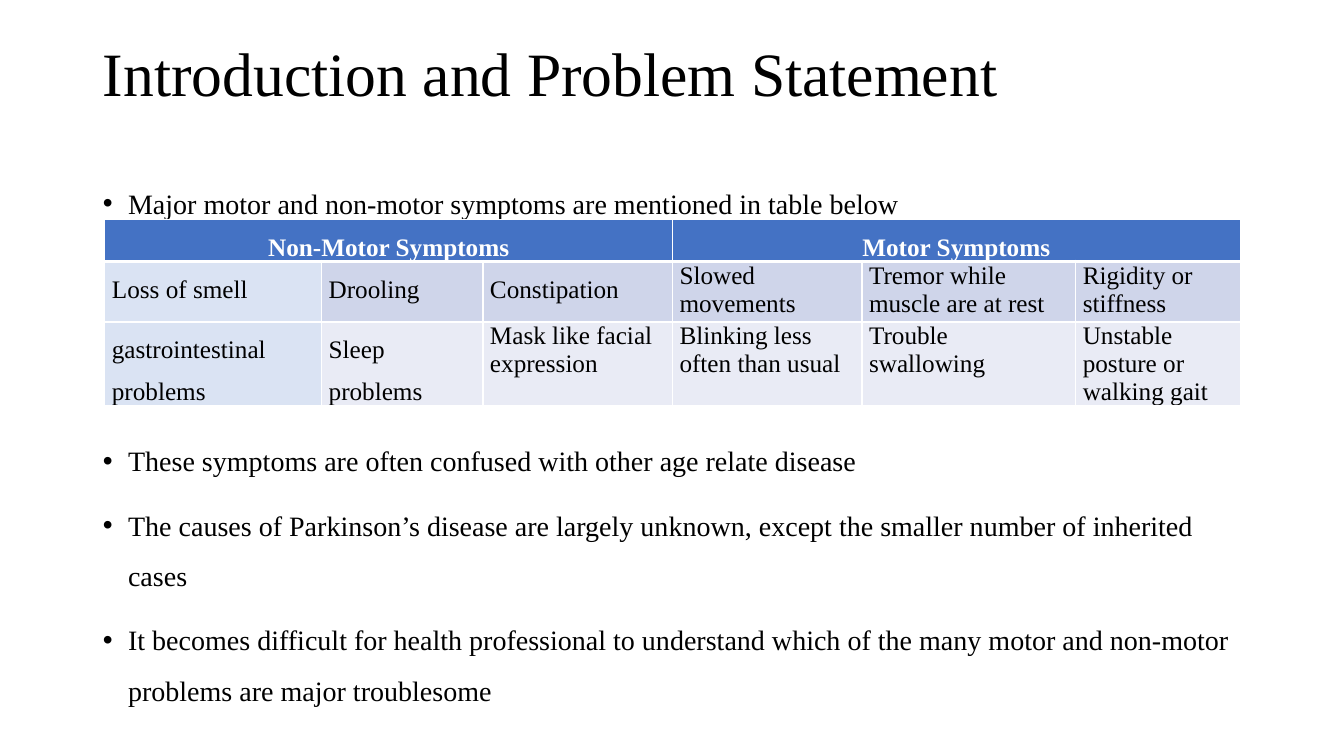
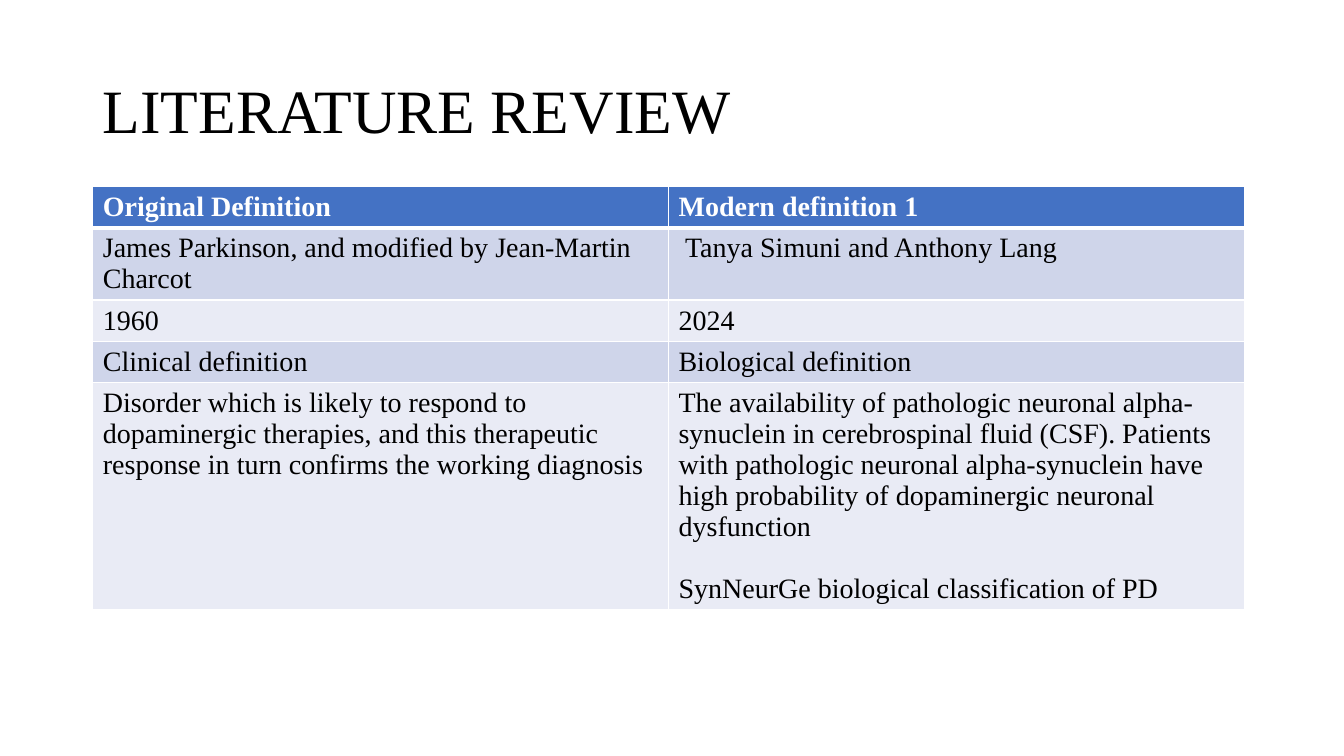
from dataclasses import dataclass

from lxml import etree
from pptx import Presentation
from pptx.dml.color import RGBColor
from pptx.enum.text import MSO_ANCHOR, MSO_AUTO_SIZE, PP_ALIGN
from pptx.oxml.ns import qn
from pptx.slide import Slide
from pptx.util import Inches, Pt

LEFT, CENTER = PP_ALIGN.LEFT, PP_ALIGN.CENTER
MIDDLE, TOP = MSO_ANCHOR.MIDDLE, MSO_ANCHOR.TOP
NO_FIT = MSO_AUTO_SIZE.NONE
TITLE_ONLY, TITLE_AND_BODY = 5, 1


@dataclass(frozen=True)
class Theme:
    """Colours, font and type sizes shared by the slides."""

    font: str = "Times New Roman"
    ink: str = "000000"
    paper: str = "FFFFFF"
    header: str = "4472C4"
    odd_row: str = "CFD5EA"
    even_row: str = "E9EBF5"
    key_column: str = "DAE3F3"
    title_size: int = 44
    text_size: int = 20
    small_size: int = 18


THEME = Theme()


@dataclass(frozen=True)
class Entry:
    """One table cell: its paragraphs, the columns it spans and its look."""

    paragraphs: tuple[str, ...]
    span: int = 1
    line_spacing: float = 1.0
    fill: str = ""


@dataclass(frozen=True)
class Grid:
    """A table: its place, column widths, row heights and entries."""

    left: float
    top: float
    columns: tuple[float, ...]
    rows: tuple[float, ...]
    entries: tuple[tuple[Entry, ...], ...]
    size: int = THEME.text_size
    header_align: PP_ALIGN = LEFT
    side_inset: float = 0.1
    end_inset: float = 0.05
    paragraph_gap: float = 0


@dataclass(frozen=True)
class Bullet:
    """A list item and the space above it in points."""

    text: str
    space_before: float = 10


def write(paragraph, text: str, *, size: float, color: str = THEME.ink, bold: bool = False,
          align: PP_ALIGN = LEFT, line_spacing: float = 1.0, space_before: float = 0) -> None:
    """Put formatted text into a paragraph."""
    paragraph.alignment = align
    paragraph.line_spacing = line_spacing
    paragraph.space_before = Pt(space_before)
    run = paragraph.add_run()
    run.text = text
    run.font.name = THEME.font
    run.font.size = Pt(size)
    run.font.bold = bold
    run.font.color.rgb = RGBColor.from_string(color)


def place(placeholder, left: float, top: float, width: float, height: float, anchor: MSO_ANCHOR):
    """Move a placeholder and return its prepared text frame."""
    placeholder.left, placeholder.top = Inches(left), Inches(top)
    placeholder.width, placeholder.height = Inches(width), Inches(height)
    frame = placeholder.text_frame
    frame.word_wrap = True
    frame.auto_size = NO_FIT
    frame.vertical_anchor = anchor
    return frame


def add_titled_slide(deck, layout: int, title: str, title_height: float) -> Slide:
    """Add a slide with the shared title style."""
    slide = deck.slides.add_slide(deck.slide_layouts[layout])
    frame = place(slide.shapes.title, 0.92, 0.4, 11.5, title_height, MIDDLE)
    write(frame.paragraphs[0], title, size=THEME.title_size, line_spacing=0.9)
    return slide


def add_bullets(slide: Slide, bullets: tuple[Bullet, ...]) -> None:
    """Fill the body placeholder with a bulleted list."""
    frame = place(slide.placeholders[1], 0.92, 1.63, 11.5, 4.76, TOP)
    for index, bullet in enumerate(bullets):
        paragraph = frame.add_paragraph() if index else frame.paragraphs[0]
        write(paragraph, bullet.text, size=THEME.text_size, line_spacing=1.5,
              space_before=bullet.space_before)
        properties = paragraph._p.get_or_add_pPr()
        properties.set("marL", str(Inches(0.25)))
        properties.set("indent", str(-Inches(0.25)))
        etree.SubElement(properties, qn("a:buFont"), typeface="Arial")
        etree.SubElement(properties, qn("a:buChar"), char="•")


def add_borders(cell, bottom: float) -> None:
    """Draw the cell's borders, one point wide except at the bottom."""
    properties = cell._tc.get_or_add_tcPr()
    for side, width in (("L", 1), ("R", 1), ("T", 1), ("B", bottom)):
        line = etree.SubElement(properties, qn(f"a:ln{side}"), w=str(Pt(width)))
        fill = etree.SubElement(line, qn("a:solidFill"))
        etree.SubElement(fill, qn("a:srgbClr"), val=THEME.paper)


def row_fill(row: int) -> str:
    """Return the fill of a table row."""
    if row == 0:
        return THEME.header
    return THEME.odd_row if row % 2 else THEME.even_row


def fill_cell(cell, entry: Entry, grid: Grid, is_header: bool) -> None:
    """Write an entry into its cell."""
    for index, text in enumerate(entry.paragraphs):
        frame = cell.text_frame
        paragraph = frame.add_paragraph() if index else frame.paragraphs[0]
        write(paragraph, text, size=grid.size, bold=is_header,
              color=THEME.paper if is_header else THEME.ink,
              align=grid.header_align if is_header else LEFT,
              line_spacing=entry.line_spacing,
              space_before=grid.paragraph_gap if index else 0)


def add_grid(slide: Slide, grid: Grid) -> None:
    """Draw a table with a header row and banded rows."""
    table = slide.shapes.add_table(
        len(grid.rows), len(grid.columns), Inches(grid.left), Inches(grid.top),
        Inches(sum(grid.columns)), Inches(sum(grid.rows))).table
    table.horz_banding = False
    for column, width in zip(table.columns, grid.columns):
        column.width = Inches(width)
    for row_index, (height, entries) in enumerate(zip(grid.rows, grid.entries)):
        table.rows[row_index].height = Inches(height)
        is_header = row_index == 0
        column_index = 0
        for entry in entries:
            last = column_index + entry.span - 1
            first_cell = table.cell(row_index, column_index)
            if entry.span > 1:
                first_cell.merge(table.cell(row_index, last))
            for covered in range(column_index, last + 1):
                cell = table.cell(row_index, covered)
                cell.margin_left = cell.margin_right = Inches(grid.side_inset)
                cell.margin_top = cell.margin_bottom = Inches(grid.end_inset)
                add_borders(cell, 3 if is_header else 1)
                cell.fill.solid()
                cell.fill.fore_color.rgb = RGBColor.from_string(entry.fill or row_fill(row_index))
            fill_cell(first_cell, entry, grid, is_header)
            column_index = last + 1


def loose(text: str, *, span: int = 1, fill: str = "") -> Entry:
    """Return an entry with wide line spacing."""
    return Entry((text,), span=span, line_spacing=1.5, fill=fill)


def plain(*texts: str) -> tuple[Entry, ...]:
    """Return single-paragraph entries for a row."""
    return tuple(Entry((text,)) for text in texts)


SYMPTOMS = Grid(
    1.04, 2.18, (2.15, 1.6, 1.88, 1.88, 2.12, 1.63), (0.37, 0.6, 0.6),
    (
        (loose("Non-Motor Symptoms", span=3), loose("Motor Symptoms", span=3)),
        (loose("Loss of smell", fill=THEME.key_column), loose("Drooling"), loose("Constipation"),
         *plain("Slowed movements", "Tremor while muscle are at rest", "Rigidity or stiffness")),
        (loose("gastrointestinal problems", fill=THEME.key_column), loose("Sleep problems"),
         *plain("Mask like facial expression", "Blinking less often than usual",
                "Trouble swallowing", "Unstable posture or walking gait")),
    ),
    size=THEME.small_size, header_align=CENTER, side_inset=0.07, end_inset=0)

DEFINITIONS = Grid(
    0.92, 1.85, (5.71, 5.71), (0.26, 0.44, 0.26, 0.26, 1.45),
    (
        plain("Original Definition", "Modern definition 1"),
        plain("James Parkinson, and modified by Jean-Martin Charcot",
              " Tanya Simuni and Anthony Lang"),
        plain("1960", "2024"),
        plain("Clinical definition", "Biological definition"),
        (*plain("Disorder which is likely to respond to dopaminergic therapies, and this "
                "therapeutic response in turn confirms the working diagnosis"),
         Entry(("The availability of pathologic neuronal alpha-synuclein in cerebrospinal fluid "
                "(CSF). Patients with pathologic neuronal alpha-synuclein have high probability "
                "of dopaminergic neuronal dysfunction",
                "SynNeurGe biological classification of PD"))),
    ),
    paragraph_gap=22)

BULLETS = (
    Bullet("Major motor and non-motor symptoms are mentioned in table below"),
    Bullet("These symptoms are often confused with other age relate disease", space_before=148),
    Bullet("The causes of Parkinson’s disease are largely unknown, except the smaller number of "
           "inherited cases"),
    Bullet("It becomes difficult for health professional to understand which of the many motor "
           "and non-motor problems are major troublesome"),
)


def main() -> None:
    """Build and save the two slides."""
    deck = Presentation()
    deck.slide_width, deck.slide_height = Inches(13.33), Inches(7.5)
    introduction = add_titled_slide(
        deck, TITLE_AND_BODY, "Introduction and Problem Statement", 0.72)
    add_bullets(introduction, BULLETS)
    add_grid(introduction, SYMPTOMS)
    review = add_titled_slide(deck, TITLE_ONLY, "LITERATURE REVIEW", 1.45)
    add_grid(review, DEFINITIONS)
    deck.save("out.pptx")


if __name__ == "__main__":
    main()
